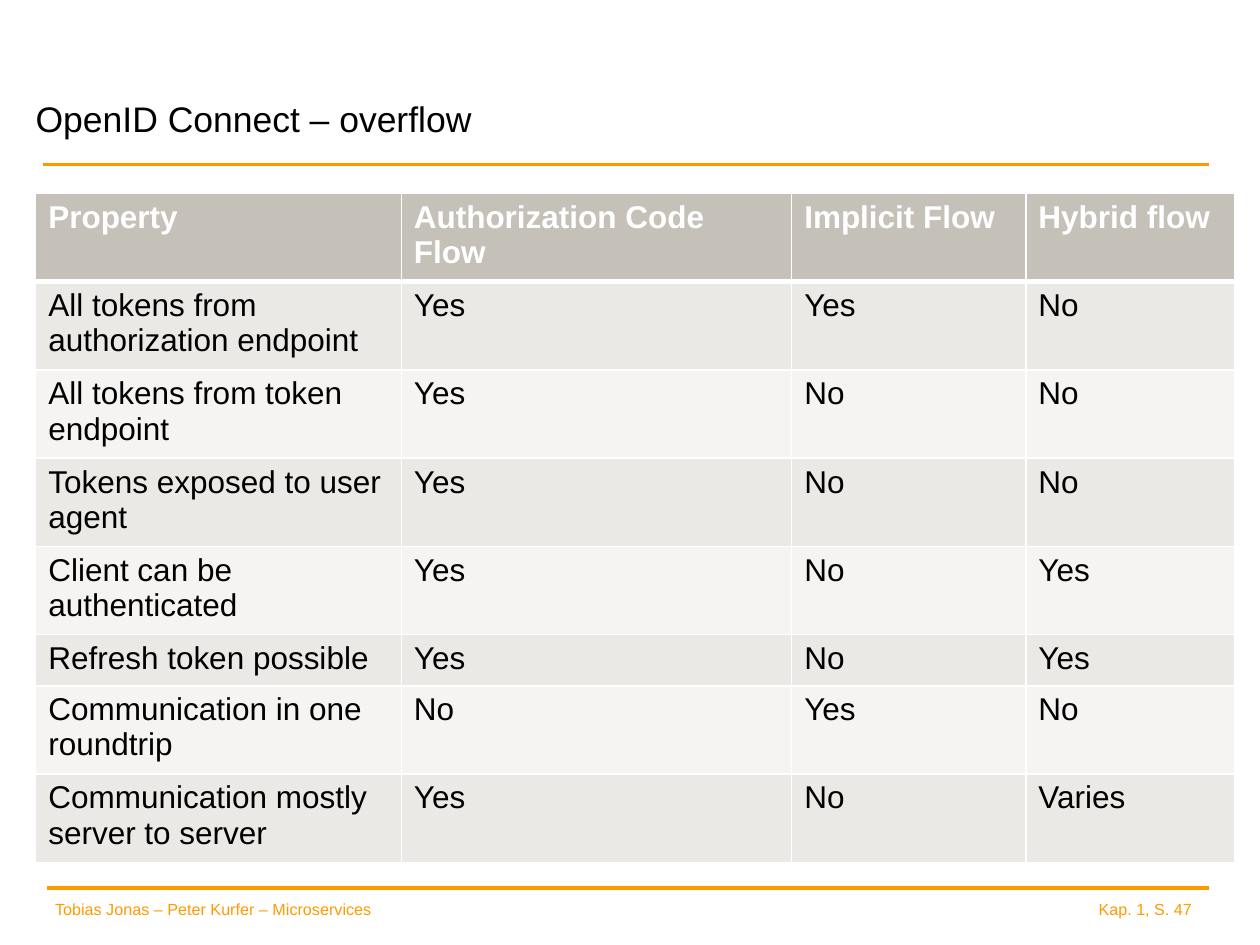
"""Builds a slide that compares the OpenID Connect flows in a table."""
from lxml.etree import SubElement
from pptx import Presentation
from pptx.dml.color import RGBColor
from pptx.enum.shapes import MSO_CONNECTOR
from pptx.enum.text import MSO_ANCHOR, PP_ALIGN
from pptx.oxml.ns import qn
from pptx.util import Cm, Pt

HUES = {
    "text": "000000",
    "white": "FFFFFF",
    "rule": "FF9900",
    "foot": "FF9A00",
    "head": "C5C1B9",
    "odd": "EAE9E6",
    "even": "F5F4F3",
}
WIDTHS = (7.37, 7.87, 4.72, 4.22)
ROWS = (
    ("Property", "Authorization Code Flow", "Implicit Flow", "Hybrid flow"),
    ("All tokens from authorization endpoint", "Yes", "Yes", "No"),
    ("All tokens from token endpoint", "Yes", "No", "No"),
    ("Tokens exposed to user agent", "Yes", "No", "No"),
    ("Client can be authenticated", "Yes", "No", "Yes"),
    ("Refresh token possible", "Yes", "No", "Yes"),
    ("Communication in one roundtrip", "No", "Yes", "No"),
    ("Communication mostly server to server", "Yes", "No", "Varies"),
)


def hue(name):
    return RGBColor.from_string(HUES[name])


def write(frame, text, size=18, color="text", bold=False, align=PP_ALIGN.LEFT):
    para = frame.paragraphs[0]
    para.alignment = align
    run = para.add_run()
    run.text = text
    font = run.font
    font.name, font.size, font.bold = "Arial", Pt(size), bold
    font.color.rgb = hue(color)


def add_text(slide, text, box, inset, anchor=MSO_ANCHOR.TOP, **style):
    frame = slide.shapes.add_textbox(*map(Cm, box)).text_frame
    frame.word_wrap = True
    frame.vertical_anchor = anchor
    (frame.margin_left, frame.margin_top,
     frame.margin_right, frame.margin_bottom) = map(Cm, inset)
    write(frame, text, **style)


def add_rule(slide, left, right, top):
    line = slide.shapes.add_connector(
        MSO_CONNECTOR.STRAIGHT, Cm(left), Cm(top), Cm(right), Cm(top))
    line.line.color.rgb = hue("rule")
    line.line.width = Pt(2)
    SubElement(line.element.spPr, qn("a:effectLst"))


def add_edge(cell, side, width):
    props = cell._tc.get_or_add_tcPr()
    edge = SubElement(props, qn(f"a:ln{side}"), w=str(Pt(width)))
    fill = SubElement(edge, qn("a:solidFill"))
    SubElement(fill, qn("a:srgbClr"), val=HUES["white"])


def fill_cell(cell, text, row):
    head = row == 0
    thick = {"T": 3 if row == 1 else 1, "B": 3 if head else 1}
    for side in "LRTB":
        add_edge(cell, side, thick.get(side, 1))
    cell.fill.solid()
    cell.fill.fore_color.rgb = hue("head" if head else "odd" if row % 2 else "even")
    write(cell.text_frame, text, color="white" if head else "text", bold=head)


def add_grid(slide, left, top, height):
    table = slide.shapes.add_table(
        len(ROWS), len(WIDTHS), Cm(left), Cm(top),
        Cm(sum(WIDTHS)), Cm(height * len(ROWS))).table
    for col, width in zip(table.columns, WIDTHS):
        col.width = Cm(width)
    for row, texts in enumerate(ROWS):
        for col, text in enumerate(texts):
            fill_cell(table.cell(row, col), text, row)


def main():
    deck = Presentation()
    deck.slide_width, deck.slide_height = Cm(25.4), Cm(19.05)
    slide = deck.slides.add_slide(deck.slide_layouts[6])
    foot = {"size": 9.2, "color": "foot"}
    add_text(slide, "Kap. 1, S. 47", (21.41, 18.01, 3, 0.66),
             (0.25, 0.13, 0.38, 0.13), align=PP_ALIGN.RIGHT, **foot)
    add_text(slide, "Tobias Jonas – Peter Kurfer – Microservices",
             (0.86, 18.01, 10.34, 0.66), (0.25, 0.13, 0, 0.13), **foot)
    add_rule(slide, 0.95, 24.38, 17.9)
    add_rule(slide, 0.86, 24.38, 3.32)
    add_text(slide, "OpenID Connect – overflow", (0.72, 0.69, 15.98, 2.13),
             (0, 0, 0, 0), anchor=MSO_ANCHOR.BOTTOM, size=20.3)
    add_grid(slide, 0.72, 3.9, 1.03)
    deck.save("out.pptx")


if __name__ == "__main__":
    main()
